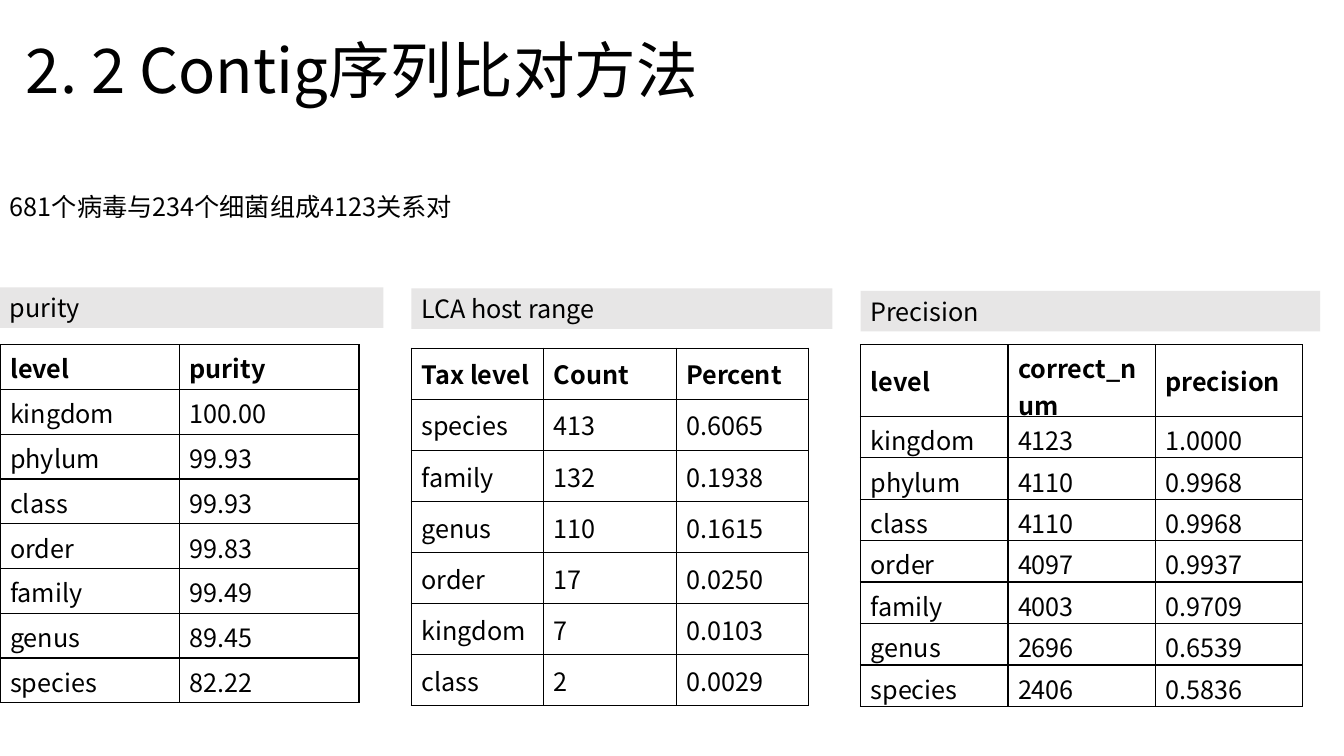
from dataclasses import dataclass

from lxml.etree import SubElement
from pptx import Presentation
from pptx.dml.color import RGBColor
from pptx.enum.shapes import MSO_SHAPE
from pptx.enum.text import MSO_ANCHOR as Anchor
from pptx.oxml.ns import qn
from pptx.slide import Slide
from pptx.table import _Cell as Cell
from pptx.text.text import TextFrame as Frame
from pptx.util import Pt

BLACK = RGBColor(0x00, 0x00, 0x00)
GREY = RGBColor(0xE7, 0xE6, 0xE6)
FONT = "Noto Sans CJK SC"
SIZE = 18
BAR = 29


@dataclass
class Panel:
    """A grey heading bar with a table below it; lengths in points."""
    name: str
    left: float
    bar_top: float
    bar_wide: float
    top: float
    col: float
    head: float
    row: float
    rows: list[str]


PANELS = [
    Panel("purity", 0, 205.2, 273.8, 246.2, 128.2, 32, 32, [
        "level|purity",
        "kingdom|100.00",
        "phylum|99.93",
        "class|99.93",
        "order|99.83",
        "family|99.49",
        "genus|89.45",
        "species|82.22",
    ]),
    Panel("LCA host range", 293.8, 206, 300.8, 248.8, 94.6, 36.5, 36.5, [
        "Tax level|Count|Percent",
        "species|413|0.6065",
        "family|132|0.1938",
        "genus|110|0.1615",
        "order|17|0.0250",
        "kingdom|7|0.0103",
        "class|2|0.0029",
    ]),
    Panel("Precision", 614.7, 207.7, 328.3, 246.2, 105.3, 51.2, 29.6, [
        "level|correct_num|precision",
        "kingdom|4123|1.0000",
        "phylum|4110|0.9968",
        "class|4110|0.9968",
        "order|4097|0.9937",
        "family|4003|0.9709",
        "genus|2696|0.6539",
        "species|2406|0.5836",
    ]),
]


def write(frame: Frame, text: str, size: float = SIZE,
          bold: bool = False) -> None:
    frame.text = text
    for run in frame.paragraphs[0].runs:
        font = run.font
        font.name, font.size, font.bold = FONT, Pt(size), bold
        font.color.rgb = BLACK
        SubElement(font._element, qn("a:ea"), typeface=FONT)


def add_text(slide: Slide, text: str, left: float, top: float, wide: float,
             high: float, size: float = SIZE) -> Frame:
    box = slide.shapes.add_textbox(Pt(left), Pt(top), Pt(wide), Pt(high))
    frame = box.text_frame
    frame.word_wrap = True
    frame.vertical_anchor = Anchor.MIDDLE
    write(frame, text, size)
    return frame


def add_bar(slide: Slide, panel: Panel) -> None:
    bar = slide.shapes.add_shape(
        MSO_SHAPE.RECTANGLE, Pt(panel.left), Pt(panel.bar_top),
        Pt(panel.bar_wide), Pt(BAR))
    bar.shadow.inherit = False
    bar.fill.solid()
    bar.fill.fore_color.rgb = GREY
    bar.line.fill.background()
    frame = bar.text_frame
    frame.word_wrap = True
    frame.vertical_anchor = Anchor.MIDDLE
    write(frame, panel.name)
    frame.paragraphs[0].alignment = 1


def add_edges(cell: Cell) -> None:
    props = cell._tc.get_or_add_tcPr()
    for side in ("lnL", "lnR", "lnT", "lnB"):
        line = SubElement(props, qn(f"a:{side}"), w=str(Pt(1)))
        fill = SubElement(line, qn("a:solidFill"))
        SubElement(fill, qn("a:srgbClr"), val=str(BLACK))


def add_grid(slide: Slide, panel: Panel) -> None:
    data = [row.split("|") for row in panel.rows]
    count, cols = len(data), len(data[0])
    high = panel.head + panel.row * (count - 1)
    table = slide.shapes.add_table(
        count, cols, Pt(panel.left), Pt(panel.top),
        Pt(panel.col * cols), Pt(high)).table
    table.first_row = table.horz_banding = False
    for col in table.columns:
        col.width = Pt(panel.col)
    for i, texts in enumerate(data):
        table.rows[i].height = Pt(panel.row if i else panel.head)
        for j, text in enumerate(texts):
            cell = table.cell(i, j)
            add_edges(cell)
            cell.fill.background()
            cell.vertical_anchor = Anchor.MIDDLE
            write(cell.text_frame, text, bold=i == 0)


def main() -> None:
    deck = Presentation()
    deck.slide_width, deck.slide_height = Pt(960), Pt(540)
    slide = deck.slides.add_slide(deck.slide_layouts[6])
    title = add_text(slide, "2. 2 Contig序列比对方法", 11.5, 0, 828, 104.4, 44)
    title.paragraphs[0].line_spacing = 0.9
    add_text(slide, "681个病毒与234个细菌组成4123关系对", 0, 133.2, 496.8, BAR)
    for panel in PANELS:
        add_bar(slide, panel)
        add_grid(slide, panel)
    deck.save("out.pptx")


if __name__ == "__main__":
    main()
